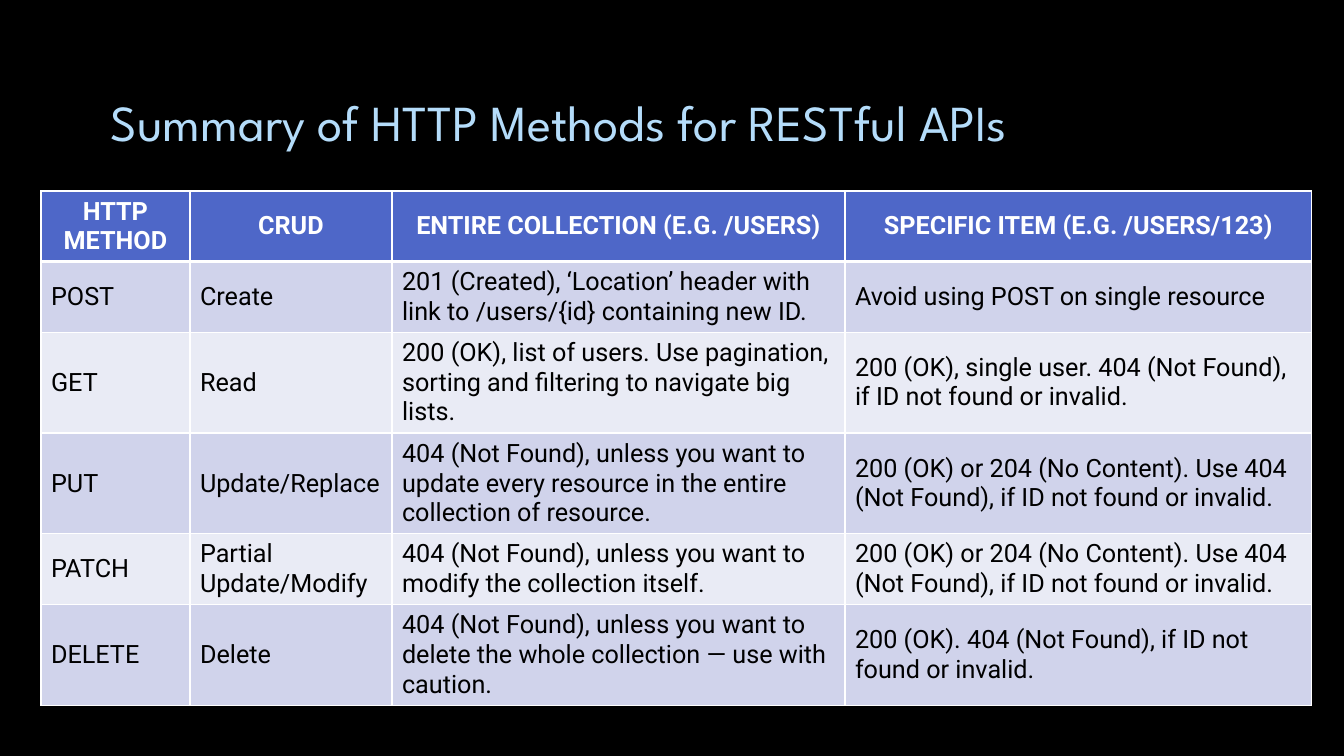
from lxml import etree
from pptx import Presentation
from pptx.dml.color import RGBColor
from pptx.enum.text import MSO_ANCHOR, PP_ALIGN
from pptx.oxml.ns import qn
from pptx.util import Emu, Pt

MIDDLE = MSO_ANCHOR.MIDDLE
LEFT, CENTER = PP_ALIGN.LEFT, PP_ALIGN.CENTER
SCALE = 914400 / 100.8
BLANK = 6


class Theme:
    back = "000000"
    head = "4E67C8"
    bands = ("D0D3EB", "E9EBF5")
    rule = "FFFFFF"
    edge = "404040"
    title = {"name": "League Spartan", "size": 36, "color": "B4DCFA", "bold": False}
    label = {"name": "Roboto", "size": 18, "color": "FFFFFF", "bold": True}
    body = {"name": "Roboto", "size": 18, "color": "000000", "bold": False}


TITLE = "Summary of HTTP Methods for RESTful APIs"
COLS = (149, 202, 453, 467)
ROWS = (
    (69, ("HTTP METHOD", "CRUD", "ENTIRE COLLECTION (E.G. /USERS)",
          "SPECIFIC ITEM (E.G. /USERS/123)")),
    (69, ("POST", "Create",
          "201 (Created), ‘Location’ header with link to /users/{id} containing new ID.",
          "Avoid using POST on single resource")),
    (99, ("GET", "Read",
          "200 (OK), list of users. Use pagination, sorting and filtering to navigate big lists.",
          "200 (OK), single user. 404 (Not Found), if ID not found or invalid.")),
    (99, ("PUT", "Update/Replace",
          "404 (Not Found), unless you want to update every resource in the entire "
          "collection of resource.",
          "200 (OK) or 204 (No Content). Use 404 (Not Found), if ID not found or invalid.")),
    (69, ("PATCH", "Partial Update/Modify",
          "404 (Not Found), unless you want to modify the collection itself.",
          "200 (OK) or 204 (No Content). Use 404 (Not Found), if ID not found or invalid.")),
    (99, ("DELETE", "Delete",
          "404 (Not Found), unless you want to delete the whole collection — use with caution.",
          "200 (OK). 404 (Not Found), if ID not found or invalid.")),
)


def px(count):
    return Emu(round(count * SCALE))


def paint(fill, color):
    fill.solid()
    fill.fore_color.rgb = RGBColor.from_string(color)


def write(frame, text, style, align):
    para = frame.paragraphs[0]
    para.alignment = align
    run = para.add_run()
    run.text = text
    for key, value in style.items():
        if key == "color":
            run.font.color.rgb = RGBColor.from_string(value)
        else:
            setattr(run.font, key, Pt(value) if key == "size" else value)
    return run


def stroke(parent, spot, tag, color, width):
    line = etree.Element(qn(tag), w=str(Pt(width)))
    fill = etree.SubElement(line, qn("a:solidFill"))
    tint = etree.SubElement(fill, qn("a:srgbClr"), val=color)
    etree.SubElement(line, qn("a:prstDash"), val="solid")
    parent.insert(spot, line)
    return tint


def add_title(slide):
    box = slide.shapes.add_textbox(px(101), px(68), px(1141), px(107))
    frame = box.text_frame
    frame.word_wrap = True
    frame.vertical_anchor = MIDDLE
    run = write(frame, TITLE, Theme.title, LEFT)
    tint = stroke(run.font._element, 0, "a:ln", Theme.edge, 0.75)
    etree.SubElement(tint, qn("a:alpha"), val="10000")


def fill_cell(cell, text, row):
    first = row == 0
    write(cell.text_frame, text, Theme.label if first else Theme.body,
          CENTER if first else LEFT)
    cell.vertical_anchor = MIDDLE
    paint(cell.fill, Theme.head if first else Theme.bands[(row - 1) % 2])
    widths = {"L": 1, "R": 1, "T": 3 if row == 1 else 1, "B": 3 if first else 1}
    for spot, (side, width) in enumerate(widths.items()):
        stroke(cell._tc.get_or_add_tcPr(), spot, "a:ln" + side, Theme.rule, width)


def add_grid(slide):
    high = sum(height for height, _ in ROWS)
    table = slide.shapes.add_table(
        len(ROWS), len(COLS), px(41), px(191), px(sum(COLS)), px(high)).table
    for col, width in zip(table.columns, COLS):
        col.width = px(width)
    for row, (height, texts) in enumerate(ROWS):
        table.rows[row].height = px(height)
        for col, text in enumerate(texts):
            fill_cell(table.cell(row, col), text, row)


def main():
    deck = Presentation()
    deck.slide_width, deck.slide_height = px(1344), px(756)
    slide = deck.slides.add_slide(deck.slide_layouts[BLANK])
    paint(slide.background.fill, Theme.back)
    add_title(slide)
    add_grid(slide)
    deck.save("out.pptx")


if __name__ == "__main__":
    main()
